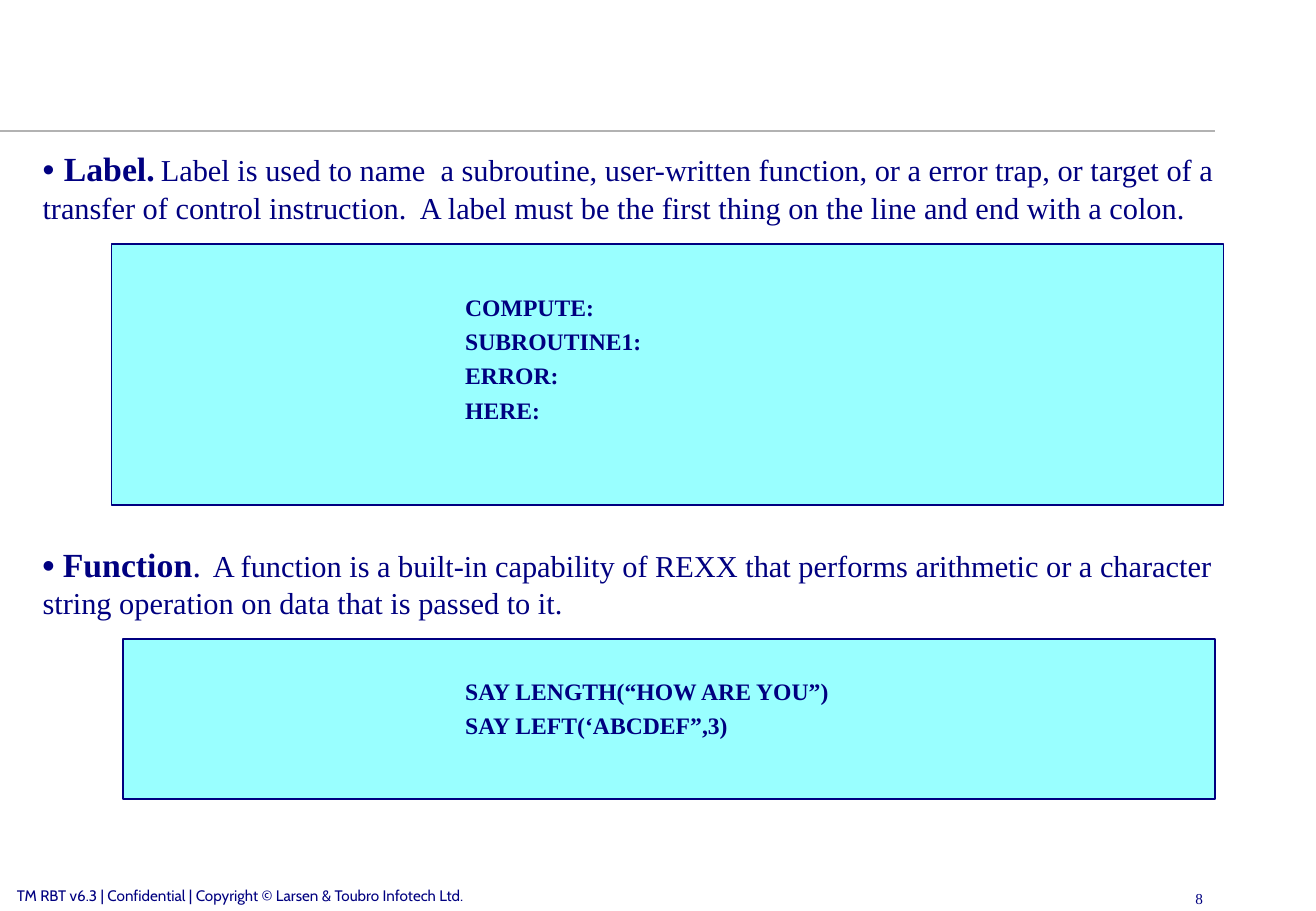
from lxml.etree import SubElement as Sub
from pptx import Presentation as Deck
from pptx.dml.color import RGBColor as Rgb
from pptx.enum.shapes import MSO_CONNECTOR as Link, MSO_SHAPE as Form
from pptx.enum.text import MSO_ANCHOR as Anchor, MSO_AUTO_SIZE as Fit, PP_ALIGN as Align
from pptx.oxml.ns import qn
from pptx.util import Inches, Pt

NAVY, AQUA, GREY = "000080", "99FFFF", "B2B2B2"
SERIF, SANS, CABIN = "Times New Roman", "Arial", "Cabin"


def tint(code):
    return Rgb.from_string(code)


def style(item, form):
    for key, val in form.items():
        setattr(item, key, val)


class Page:
    def __init__(self, deck):
        self.wide, self.high = deck.slide_width, deck.slide_height
        self.slide = deck.slides.add_slide(deck.slide_layouts[0])
        title = self.slide.shapes.title.element
        title.getparent().remove(title)

    def area(self, x, y, w, h):
        sides = ((x, self.wide), (y, self.high), (w, self.wide), (h, self.high))
        return [round(part * full / 100) for part, full in sides]

    def fill(self, frame, paras, gap=0, align=Align.LEFT):
        style(frame, {"word_wrap": True, "auto_size": Fit.NONE,
                      "vertical_anchor": Anchor.TOP})
        for n, runs in enumerate(paras):
            para = frame.add_paragraph() if n else frame.paragraphs[0]
            style(para, {"alignment": align, "space_before": Pt(gap if n else 0)})
            for text, size, face, bold in runs:
                run = para.add_run()
                run.text = text
                style(run.font, {"size": Pt(size), "name": face, "bold": bold})
                run.font.color.rgb = tint(NAVY)

    def body(self, spot, paras, gap):
        holder = self.slide.placeholders[1]
        style(holder, dict(zip(("left", "top", "width", "height"), self.area(*spot))))
        self.fill(holder.text_frame, paras, gap)

    def text(self, spot, lines, size, face=SERIF, bold=False, gap=0, align=Align.LEFT):
        box = self.slide.shapes.add_textbox(*self.area(*spot))
        paras = [[(line, size, face, bold)] for line in lines]
        self.fill(box.text_frame, paras, gap, align)

    def panel(self, spot):
        box = self.slide.shapes.add_shape(Form.RECTANGLE, *self.area(*spot))
        box.shadow.inherit = False
        box.fill.solid()
        box.fill.fore_color.rgb = tint(AQUA)
        box.line.color.rgb = tint(NAVY)
        box.line.width = Pt(1)

    def code(self, spot, lines):
        self.text(spot, lines, 14, bold=True, gap=3.5)

    def rule(self, y, end):
        left, top, right, low = self.area(0, y, end, y)
        line = self.slide.shapes.add_connector(Link.STRAIGHT, left, top, right, low)
        line.line.color.rgb = tint(GREY)
        line.line.width = Pt(1)
        Sub(line.element.spPr, qn("a:effectLst"))


def main():
    deck = Deck()
    style(deck, {"slide_width": Inches(10.83), "slide_height": Inches(7.5)})
    page = Page(deck)
    page.rule(14.4, 92.34)
    page.text((0.37, 96.67, 43.49, 2.67),
              ["TM RBT v6.3 | Confidential | Copyright © Larsen & Toubro Infotech Ltd."],
              9, CABIN)
    page.text((70.82, 96.93, 21.51, 6.93), ["8"], 9, align=Align.RIGHT)
    page.body((2.31, 15.6, 95.38, 86.67), [
        [("• ", 20, SANS, False), ("Label.", 20, SERIF, True), (" ", 14, SERIF, False),
         ("Label is used to name  a subroutine, user-written function, or a error trap, "
          "or target of a transfer of control instruction.  A label must be the first "
          "thing on the line and end with a colon.", 18, SERIF, False)],
        [("•", 20, SANS, True), (" Function", 20, SERIF, True), (".", 20, SERIF, False),
         ("  ", 14, SERIF, False),
         ("A function is a built-in capability of REXX that performs arithmetic or a "
          "character string operation on data that is passed to it.", 18, SERIF, False)],
    ], 189)
    page.panel((8.49, 26.8, 84.49, 28.67))
    page.code((34.44, 31.47, 29.92, 15.73),
              ["COMPUTE:", "SUBROUTINE1:", "ERROR:", "HERE:"])
    page.panel((9.33, 70.13, 83.01, 17.6))
    page.code((34.44, 73.6, 29.92, 8.27),
              ["SAY LENGTH(“HOW ARE YOU”)", "SAY LEFT(‘ABCDEF”,3)"])
    deck.save("out.pptx")


if __name__ == "__main__":
    main()
